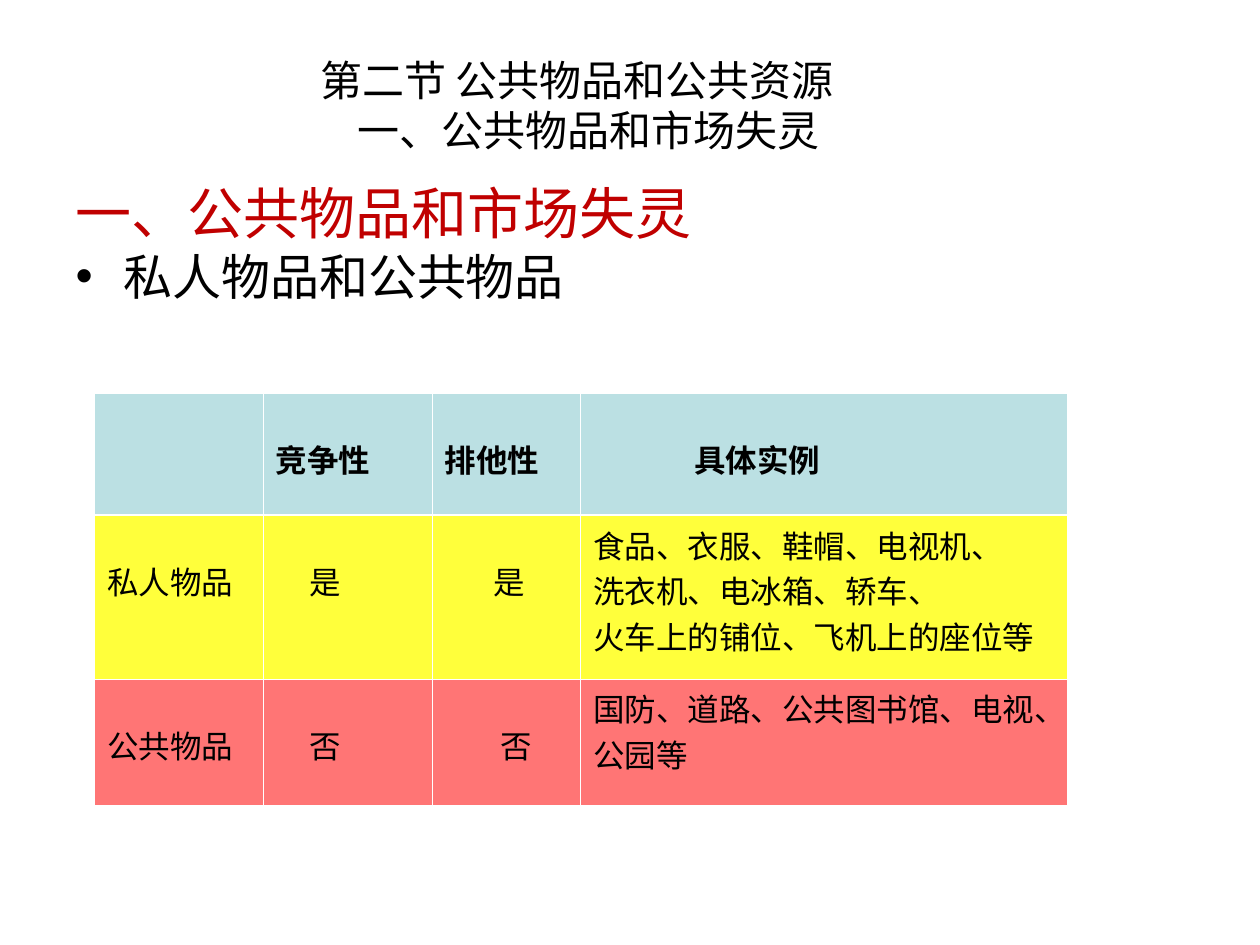
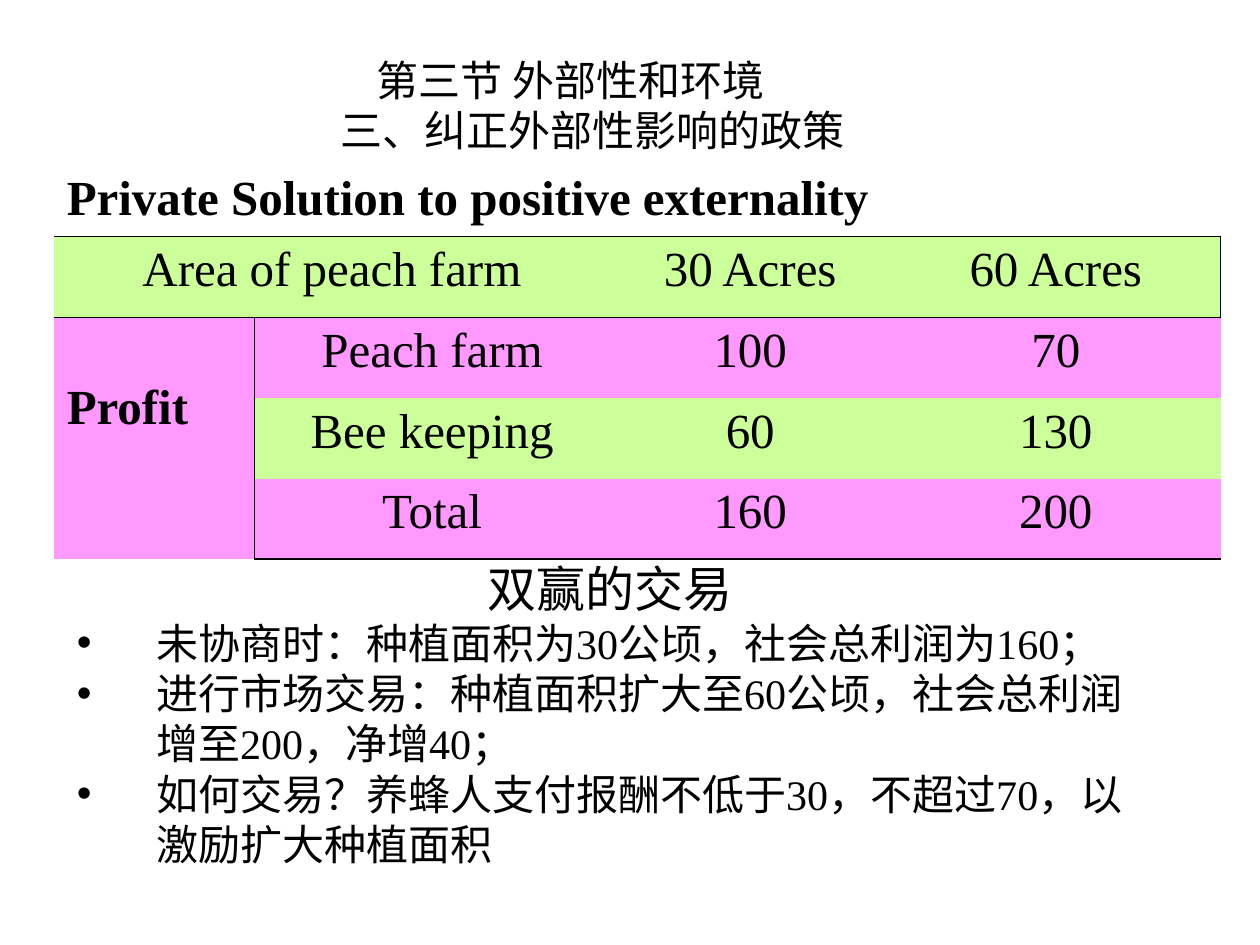
"""Build two slides on public goods and externalities, each with a table."""
from pptx import Presentation
from pptx.dml.color import RGBColor as Rgb
from pptx.enum.text import MSO_ANCHOR as Anchor, MSO_AUTO_SIZE as Auto, PP_ALIGN as Align
from pptx.oxml.ns import qn
from pptx.util import Inches, Pt
from lxml.etree import SubElement as Sub

INK = {"black": "000000", "white": "FFFFFF", "red": "C00000", "blue": "BBE0E3",
       "yellow": "FFFF00", "coral": "FF0000", "lime": "CCFF99", "pink": "FF99FF"}
CJK, SANS, SERIF = "Noto Sans CJK SC", "Arial", "Times New Roman"
HEAD = {"name": CJK, "size": Pt(24)}
GOODS = {"name": SANS, "size": Pt(18)}
FARM = {"name": SERIF, "size": Pt(28)}
TITLE_BOX = (0.5, 0.36, 9, 0.94)
THIN, THICK = 0.45, 1.47

GOODS_PAGE = {
    "title": [("第二节 公共物品和公共资源", 1.94), ("一、公共物品和市场失灵", 2.24)],
    "box": (0.5, 1.47, 9, 1.5),
    "body": [
        ("一、公共物品和市场失灵", {"name": SANS, "size": Pt(32)}, "red", {"line_spacing": 0.8}),
        ("私人物品和公共物品", {"name": SANS, "size": Pt(28)}, "black",
         {"line_spacing": 0.8, "space_before": Pt(7), "hang": 0.38}),
    ],
    "at": (0.75, 3.12), "cols": (1.34, 1.34, 1.18, 3.86), "rows": (0.97, 1.3, 1),
    "cells": [
        ["", "竞争性", "排他性", "具体实例"],
        ["私人物品", "是", "是", "食品、衣服、鞋帽、电视机、\n洗衣机、电冰箱、轿车、\n火车上的铺位、飞机上的座位等"],
        ["公共物品", "否", "否", "国防、道路、公共图书馆、电视、公园等"],
    ],
}
GOODS_FILL = [("blue", 100), ("yellow", 77), ("coral", 54)]
GOODS_PAD = [(0, 0, 0, 0.8), (0, 0.27, 0.39, 0), (0, 0.27, 0.44, 0)]

NOTE = {"name": SERIF, "size": Pt(24)}
FARM_PAGE = {
    "title": [("第三节 外部性和环境", 2.39), ("三、纠正外部性影响的政策", 2.1)],
    "box": (0.51, 4.38, 8.66, 2.57),
    "body": [("双赢的交易", FARM, "black", {"alignment": Align.CENTER})] + [
        (text, NOTE, "black", {"hang": 0.63}) for text in (
            "未协商时：种植面积为30公顷，社会总利润为160；",
            "进行市场交易：种植面积扩大至60公顷，社会总利润增至200，净增40；",
            "如何交易？养蜂人支付报酬不低于30，不超过70，以激励扩大种植面积")],
    "at": (0.43, 1.31), "cols": (1.59, 2.82, 2.23, 2.62), "rows": (0.57,) + (0.64,) * 4,
    "cells": [
        ["Private Solution to positive externality", "", "", ""],
        ["Area of peach farm", "", "30 Acres", "60 Acres"],
        ["Profit", "Peach farm", "100", "70"],
        ["", "Bee keeping", "60", "130"],
        ["", "Total", "160", "200"],
    ],
}
FARM_FILL = ["white", "lime", "pink", "lime", "pink"]
SPANS = [((0, 0), (0, 3)), ((1, 0), (1, 1)), ((2, 0), (4, 0))]


def put(par, text, fmt, ink="black", east=None):
    run = par.add_run()
    run.text = text
    for key, val in fmt.items():
        setattr(run.font, key, val)
    run.font.color.rgb = Rgb.from_string(INK[ink])
    if east:
        Sub(run._r.get_or_add_rPr(), qn("a:ea"), typeface=east)


def lines(frame, count):
    return [frame.paragraphs[0]] + [frame.add_paragraph() for _ in range(count - 1)]


def indent(par, left, first=0):
    props = par._p.get_or_add_pPr()
    props.set("marL", str(Inches(left)))
    props.set("indent", str(Inches(first)))
    return props


def place(shape, box):
    for key, val in zip(("left", "top", "width", "height"), box):
        setattr(shape, key, Inches(val))
    shape.text_frame.word_wrap = True
    shape.text_frame.auto_size = Auto.NONE
    return shape.text_frame


def start(deck, page):
    slide = deck.slides.add_slide(deck.slide_layouts[1])
    frame = place(slide.shapes.title, TITLE_BOX)
    frame.vertical_anchor = Anchor.MIDDLE
    for par, (text, left) in zip(lines(frame, len(page["title"])), page["title"]):
        indent(par, left)
        par.alignment = Align.LEFT
        put(par, text, HEAD)
    frame = place(slide.placeholders[1], page["box"])
    for par, (text, fmt, ink, look) in zip(lines(frame, len(page["body"])), page["body"]):
        hang = look.get("hang", 0)
        props = indent(par, hang, -hang)
        if hang:
            Sub(Sub(props, qn("a:buClr")), qn("a:srgbClr"), val=INK["black"])
            Sub(props, qn("a:buFont"), typeface=SANS)
            Sub(props, qn("a:buChar"), char="•")
        else:
            Sub(props, qn("a:buNone"))
        for key, val in {"space_before": Pt(0), **look}.items():
            if key != "hang":
                setattr(par, key, val)
        put(par, text, fmt, ink)
    return grid(slide, page)


def grid(slide, page):
    cols, rows = page["cols"], page["rows"]
    size = (*page["at"], sum(cols), sum(rows))
    table = slide.shapes.add_table(len(rows), len(cols), *map(Inches, size)).table
    table.first_row = table.horz_banding = False
    for col, wide in zip(table.columns, cols):
        col.width = Inches(wide)
    for row, high in zip(table.rows, rows):
        row.height = Inches(high)
    return table


def paint(cell, ink, edges, alpha=100):
    cell.fill.solid()
    cell.fill.fore_color.rgb = Rgb.from_string(INK[ink])
    props = cell._tc.get_or_add_tcPr()
    if alpha < 100:
        tone = props.find(".//" + qn("a:srgbClr"))
        Sub(tone, qn("a:alpha"), val=str(alpha * 1000))
    for spot, side in enumerate("LRTB"):
        tint, wide = edges.get(side, (None, 0))
        line = Sub(props, qn("a:ln" + side), w=str(Pt(wide)))
        if tint:
            Sub(Sub(line, qn("a:solidFill")), qn("a:srgbClr"), val=INK[tint])
        else:
            Sub(line, qn("a:noFill"))
        props.insert(spot, line)


def goods(deck):
    table = start(deck, GOODS_PAGE)
    for r, row in enumerate(GOODS_PAGE["cells"]):
        ink, alpha = GOODS_FILL[r]
        for c, text in enumerate(row):
            cell = table.cell(r, c)
            edges = {side: ("white", THIN) for side in "LRTB"}
            if r < 2:
                edges["TB"[r == 0]] = ("white", THICK)
            paint(cell, ink, edges, alpha)
            if not text:
                continue
            if r == 0 or c < 3:
                cell.margin_top = Inches(0.34)
            parts = text.split("\n")
            for par, part in zip(lines(cell.text_frame, len(parts)), parts):
                indent(par, GOODS_PAD[r][c])
                put(par, part, {**GOODS, "bold": r == 0}, east=CJK)


def farm(deck):
    table = start(deck, FARM_PAGE)
    for r, row in enumerate(FARM_PAGE["cells"]):
        for c, text in enumerate(row):
            cell = table.cell(r, c)
            side = r > 1 and c == 0
            ruled = {"T": r in (1, 2), "B": r in (0, 1, 4),
                     "R": side or (r, c) == (1, 3), "L": r > 1 and c == 1}
            edges = {key: ("black", 1.08 if key == "B" and r == 4 else THIN)
                     for key, on in ruled.items() if on}
            paint(cell, "pink" if side else FARM_FILL[r], edges)
            if text:
                par = cell.text_frame.paragraphs[0]
                bold = r == 0 or side
                par.alignment = Align.LEFT if bold else Align.CENTER
                put(par, text, {**FARM, "bold": bold})
    table.cell(2, 0).margin_top = Inches(0.5)
    for first, last in SPANS:
        table.cell(*first).merge(table.cell(*last))


def main():
    deck = Presentation()
    deck.slide_width, deck.slide_height = Inches(10), Inches(7.5)
    goods(deck)
    farm(deck)
    deck.save("out.pptx")


if __name__ == "__main__":
    main()
